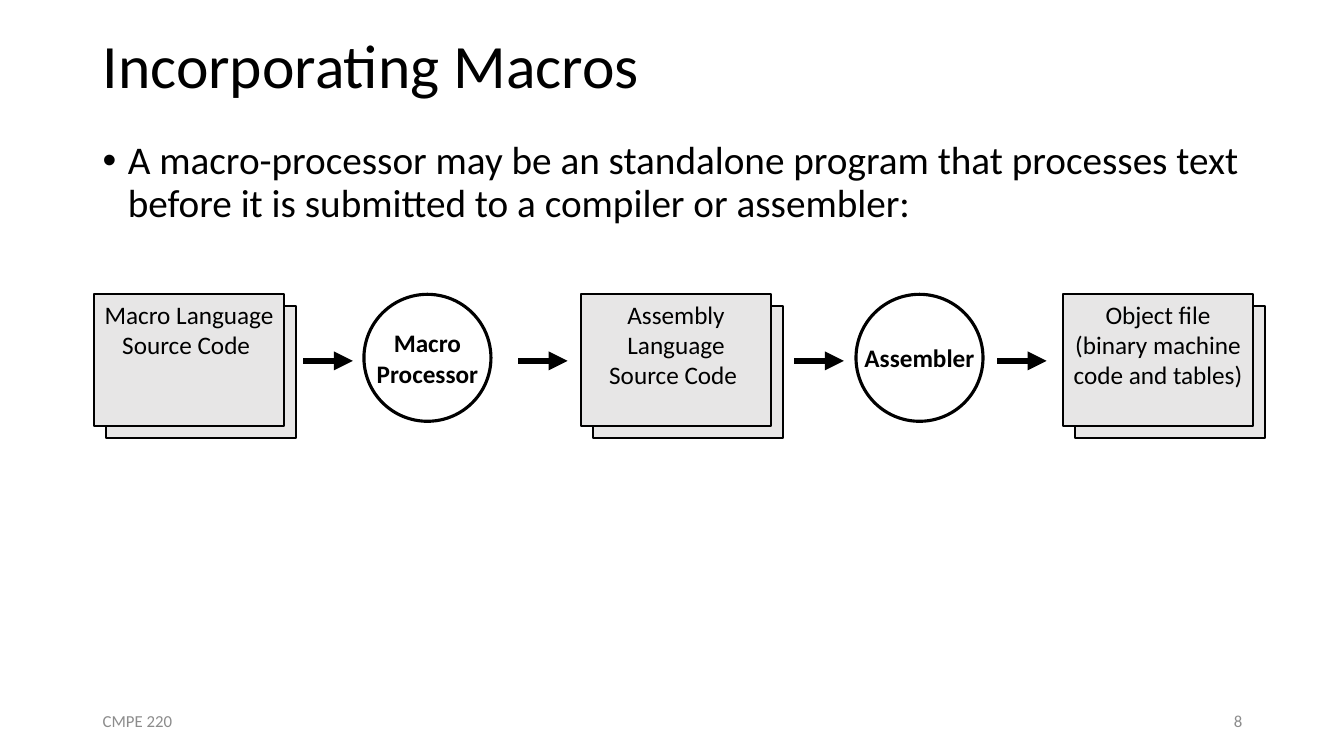
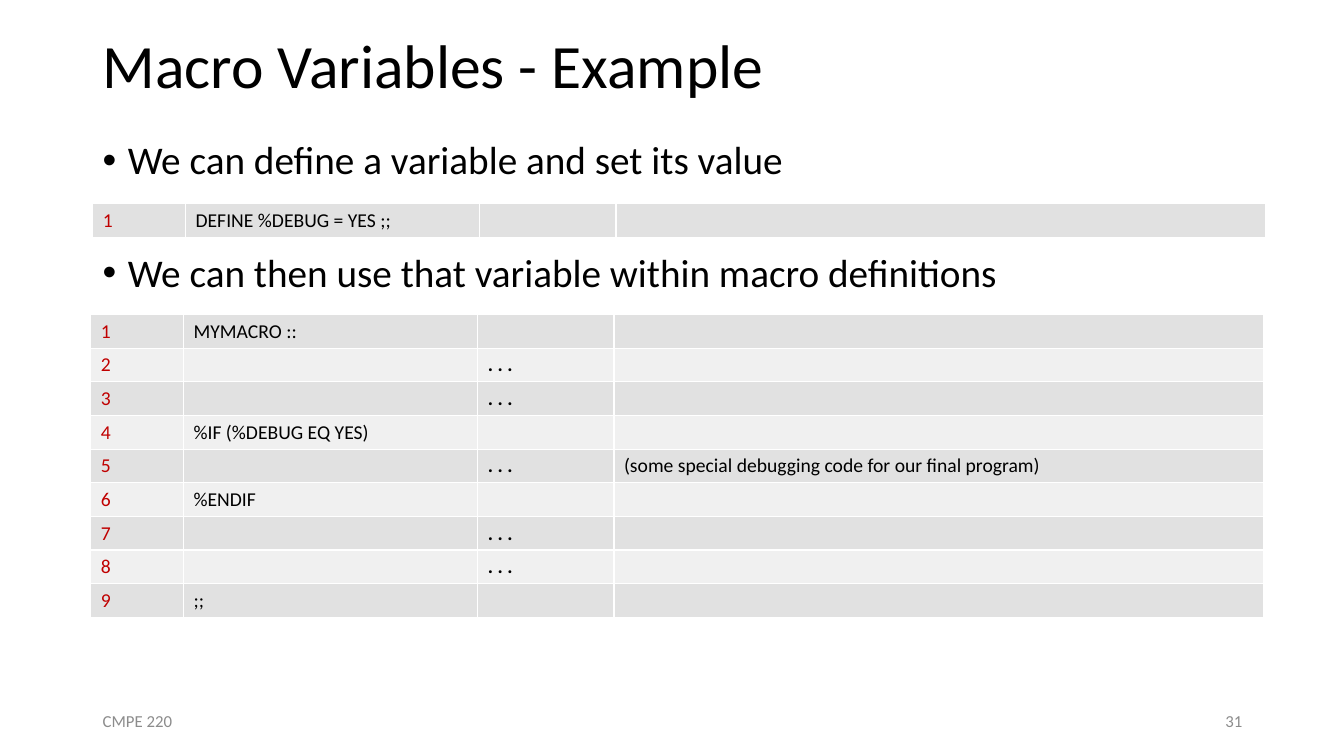
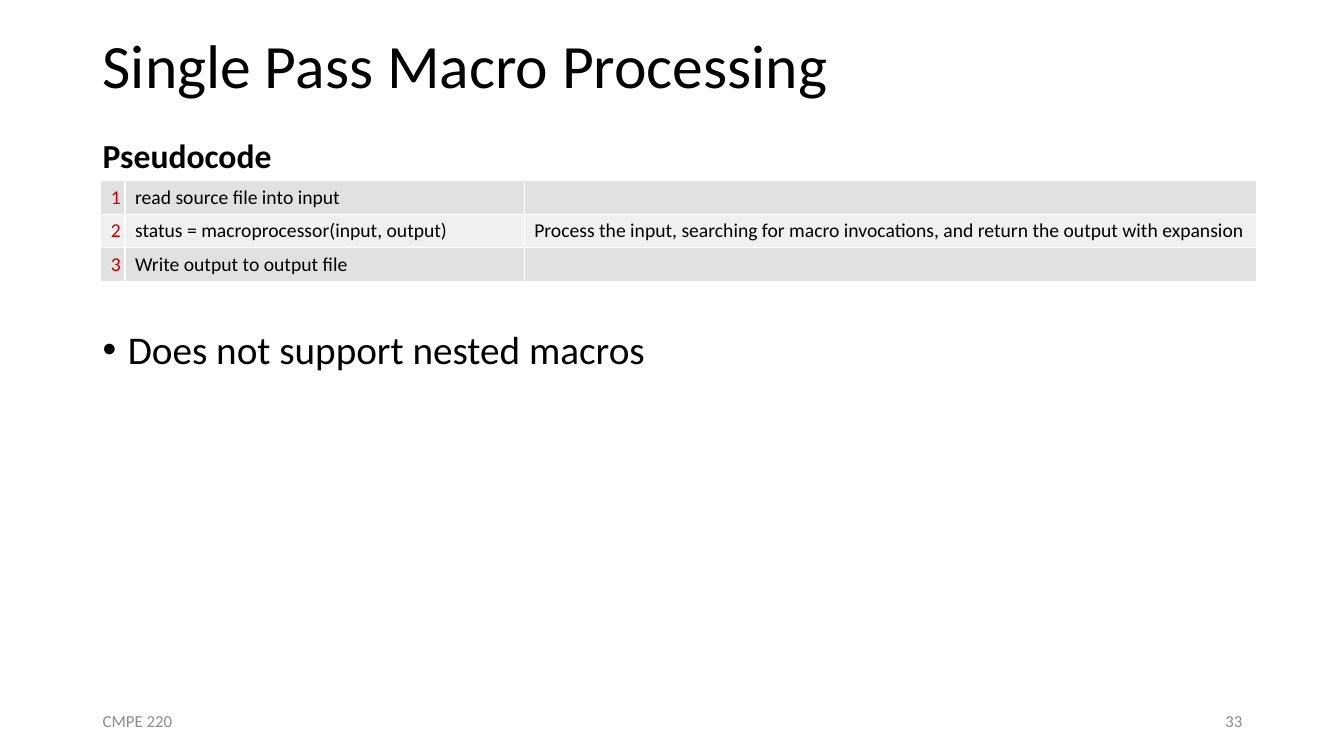
import pptx
import pptx.dml.color
import pptx.enum.shapes
import pptx.enum.text
import pptx.oxml.ns
import pptx.util
from lxml import etree

Inches = pptx.util.Inches
Pt = pptx.util.Pt
Align = pptx.enum.text.PP_ALIGN
Anchor = pptx.enum.text.MSO_ANCHOR
Preset = pptx.enum.shapes.MSO_SHAPE

FONT = "Calibri"
BLACK, GREY, RED, WHITE = "000000", "8C8C8C", "C00000", "FFFFFF"
PAPER = "E7E6E6"
BANDS = ("E1E1E1", "F0F0F0")
LEFT, WIDTH = 0.92, 11.5
ROW_HEIGHT = 0.33
ELLIPSIS = ". . ."
CODE_COLUMNS = (0.92, 2.92, 1.35, 6.44)


def color(value):
    """Return the colour for a hex string."""
    return pptx.dml.color.RGBColor.from_string(value)


def add_element(parent, tag, **attributes):
    """Append a child element such as a:ln to an XML parent."""
    return etree.SubElement(parent, pptx.oxml.ns.qn(tag), **attributes)


def style_font(paragraph, size, ink=BLACK, bold=False):
    """Set the font of a whole paragraph."""
    font = paragraph.font
    font.name, font.size, font.bold = FONT, Pt(size), bold
    font.color.rgb = color(ink)


def add_text(slide, box, text, size, ink=BLACK, bold=False, anchor=Anchor.TOP, align=Align.LEFT):
    """Add a wrapped one-paragraph text box and return its paragraph."""
    frame = slide.shapes.add_textbox(*map(Inches, box)).text_frame
    frame.word_wrap = True
    frame.vertical_anchor = anchor
    paragraph = frame.paragraphs[0]
    paragraph.text = text
    paragraph.alignment = align
    style_font(paragraph, size, ink, bold)
    return paragraph


def add_bullets(slide, top, height, lines, gap=10):
    """Add bulleted lines, with the given space before each later line."""
    frame = slide.shapes.add_textbox(*map(Inches, (LEFT, top, WIDTH, height))).text_frame
    frame.word_wrap = True
    for index, line in enumerate(lines):
        paragraph = frame.add_paragraph() if index else frame.paragraphs[0]
        paragraph.text = line
        properties = paragraph._p.get_or_add_pPr()
        properties.set("marL", str(Inches(0.25)))
        properties.set("indent", str(Inches(-0.25)))
        add_element(properties, "a:buFont", typeface="Arial")
        add_element(properties, "a:buChar", char="•")
        paragraph.line_spacing = 0.9
        paragraph.space_before = Pt(gap if index else 10)
        style_font(paragraph, 28)


def add_shape(slide, preset, box, line_width, fill=None, text="", bold=False):
    """Add an outlined shape with centred text and return its text frame."""
    shape = slide.shapes.add_shape(preset, *map(Inches, box))
    shape.shadow.inherit = False
    if fill:
        shape.fill.solid()
        shape.fill.fore_color.rgb = color(fill)
    else:
        shape.fill.background()
    shape.line.color.rgb = color(BLACK)
    shape.line.width = Pt(line_width)
    frame = shape.text_frame
    frame.text = text
    for paragraph in frame.paragraphs:
        paragraph.alignment = Align.CENTER
        style_font(paragraph, 18, bold=bold)
    return frame


def add_document(slide, left, top, text):
    """Draw a stack of two sheets with text on the front one."""
    width, height, offset = 1.89, 1.31, 0.12
    add_shape(slide, Preset.RECTANGLE, (left + offset, top + offset, width, height), 1.5, PAPER)
    frame = add_shape(slide, Preset.RECTANGLE, (left, top, width, height), 1.5, PAPER, text)
    frame.vertical_anchor = Anchor.TOP


def add_process(slide, left, top, text):
    """Draw a circle that names a processing step."""
    frame = add_shape(slide, Preset.OVAL, (left, top, 1.26, 1.26), 2.25, None, text, True)
    frame.word_wrap = False
    frame.margin_left = frame.margin_right = 0


def add_arrow(slide, left, top):
    """Draw a short thick arrow that points right."""
    ends = map(Inches, (left, top, left + 0.49, top))
    connector = slide.shapes.add_connector(pptx.enum.shapes.MSO_CONNECTOR.STRAIGHT, *ends)
    connector.line.color.rgb = color(BLACK)
    connector.line.width = Pt(4.5)
    add_element(connector.line._get_or_add_ln(), "a:tailEnd", type="triangle")
    add_element(connector._element.spPr, "a:effectLst")


def add_flow(slide, left, top):
    """Draw the chain from macro source to object file."""
    documents = (
        (0, "Macro Language Source Code "),
        (4.83, "Assembly Language Source Code "),
        (9.61, "Object file\v(binary machine code and tables) "),
    )
    for offset, text in documents:
        add_document(slide, left + offset, top, text)
    for offset, text in ((2.68, "Macro\vProcessor"), (7.56, "Assembler")):
        add_process(slide, left + offset, top, text)
    for offset in (2.08, 4.21, 6.95, 8.96):
        add_arrow(slide, left + offset, top + 0.66)


def style_cell(cell, text, fill, ink):
    """Fill a table cell and give it white borders."""
    properties = cell._tc.get_or_add_tcPr()
    for side in ("a:lnL", "a:lnR", "a:lnT", "a:lnB"):
        border = add_element(properties, side, w=str(Pt(1)))
        add_element(add_element(border, "a:solidFill"), "a:srgbClr", val=WHITE)
    cell.fill.solid()
    cell.fill.fore_color.rgb = color(fill)
    paragraph = cell.text_frame.paragraphs[0]
    paragraph.text = text
    style_font(paragraph, 14, ink, text == ELLIPSIS)
    if not text:
        add_element(paragraph._p, "a:endParaRPr", sz="1400")


def add_listing(slide, left, top, widths, lines):
    """Add a banded code table with numbered lines."""
    box = (left, top, sum(widths), ROW_HEIGHT * len(lines))
    table = slide.shapes.add_table(len(lines), len(widths), *map(Inches, box)).table
    table.first_row = table.horz_banding = False
    for column, width in zip(table.columns, widths):
        column.width = Inches(width)
    for index, line in enumerate(lines):
        table.rows[index].height = Inches(ROW_HEIGHT)
        texts = (str(index + 1), *line)
        for position, text in enumerate(texts):
            ink = BLACK if position else RED
            style_cell(table.cell(index, position), text, BANDS[index % 2], ink)


def add_slide(presentation, title, number):
    """Add a blank slide with the shared title and footer."""
    slide = presentation.slides.add_slide(presentation.slide_layouts[6])
    heading = add_text(slide, (LEFT, 0, WIDTH, 1.35), title, 44, anchor=Anchor.MIDDLE)
    heading.line_spacing = 0.9
    add_text(slide, (LEFT, 6.95, 3, 0.4), "CMPE 220", 12, GREY, anchor=Anchor.MIDDLE)
    add_text(slide, (LEFT + WIDTH - 3, 6.95, 3, 0.4), str(number), 12, GREY,
             anchor=Anchor.MIDDLE, align=Align.RIGHT)
    return slide


def build_incorporating(presentation):
    """Build the slide on standalone macro processors."""
    slide = add_slide(presentation, "Incorporating Macros", 8)
    add_bullets(slide, 1.35, 1.15, (
        "A macro-processor may be an standalone program that processes text "
        "before it is submitted to a compiler or assembler:",
    ))
    add_flow(slide, 0.93, 2.92)


def build_variables(presentation):
    """Build the slide with the macro variable example."""
    slide = add_slide(presentation, "Macro Variables - Example", 31)
    add_bullets(slide, 1.35, 3.59, (
        "We can define a variable and set its value",
        "We can then use that variable within macro definitions",
    ), gap=50)
    add_listing(slide, 0.92, 2.02, CODE_COLUMNS, [("DEFINE %DEBUG = YES ;;", "", "")])
    step = ("", ELLIPSIS, "")
    add_listing(slide, 0.9, 3.12, CODE_COLUMNS, [
        ("MYMACRO ::", "", ""),
        step,
        step,
        ("%IF (%DEBUG EQ YES)", "", ""),
        ("", ELLIPSIS, "(some special debugging code for our final program)"),
        ("%ENDIF", "", ""),
        step,
        step,
        (";;", "", ""),
    ])


def build_single_pass(presentation):
    """Build the slide with the single pass pseudocode."""
    slide = add_slide(presentation, "Single Pass Macro Processing", 33)
    add_listing(slide, 1, 1.79, (0.23, 3.96, 7.26), [
        ("read source file into input", ""),
        ("status = macroprocessor(input, output)",
         "Process the input, searching for macro invocations, "
         "and return the output with expansion"),
        ("Write output to output file", ""),
    ])
    add_text(slide, (LEFT, 1.29, 1.95, 0.5), "Pseudocode", 24, bold=True)
    add_bullets(slide, 3.23, 3.41, ("Does not support nested macros",))


def main():
    """Build and save the presentation."""
    presentation = pptx.Presentation()
    presentation.slide_width = Inches(13.33)
    presentation.slide_height = Inches(7.5)
    build_incorporating(presentation)
    build_variables(presentation)
    build_single_pass(presentation)
    presentation.save("out.pptx")


if __name__ == "__main__":
    main()
